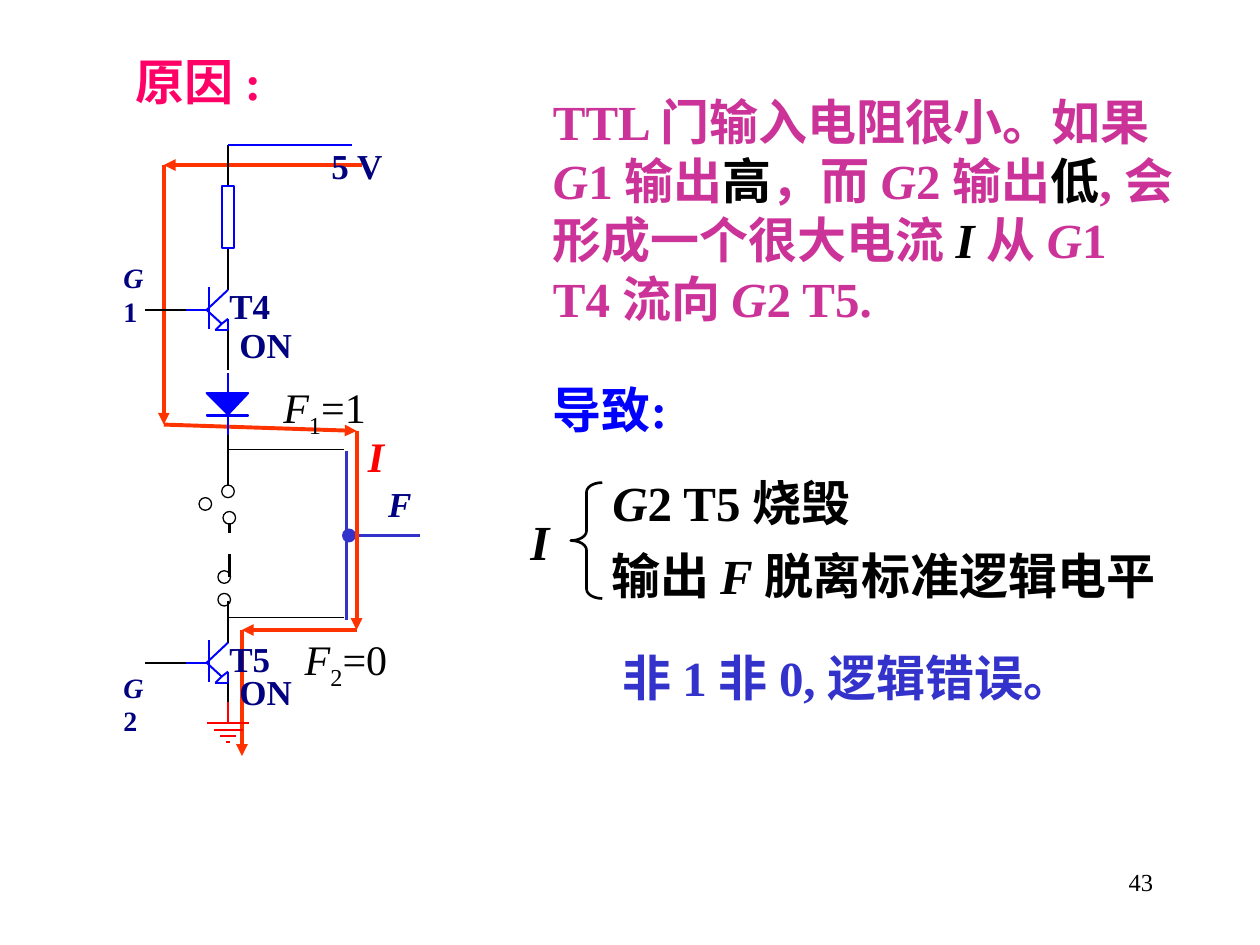
from dataclasses import dataclass
from itertools import pairwise

from lxml.etree import SubElement
from pptx import Presentation
from pptx.dml.color import RGBColor
from pptx.enum.shapes import MSO_CONNECTOR, MSO_SHAPE
from pptx.enum.text import PP_ALIGN
from pptx.oxml.ns import qn
from pptx.util import Inches, Pt


@dataclass(frozen=True)
class Theme:
    font: str = "Times New Roman"
    black: str = "000000"
    blue: str = "0000FF"
    navy: str = "000080"
    indigo: str = "3333CC"
    red: str = "FF0000"
    current: str = "FF3300"
    pink: str = "FF0066"
    magenta: str = "CC3399"
    body: int = 28
    signal: int = 24
    label: int = 20
    gate: int = 16
    footer: int = 14
    hairline: float = 0
    thin: float = 0.75
    wire: float = 1.13
    link: float = 1.5
    thick: float = 2.25


THEME = Theme()


@dataclass
class Region:
    """Draws on a slide, in inches from the region's top left corner."""
    slide: object
    left: float
    top: float

    def at(self, x, y):
        return Inches(self.left + x), Inches(self.top + y)

    def line(self, start, end, color=THEME.black, width=THEME.wire, arrow=False):
        connector = self.slide.shapes.add_connector(
            MSO_CONNECTOR.STRAIGHT, *self.at(*start), *self.at(*end))
        connector.line.color.rgb = RGBColor.from_string(color)
        connector.line.width = Pt(width)
        properties = connector._element.spPr
        if arrow:
            SubElement(properties.find(qn("a:ln")), qn("a:tailEnd"), type="triangle")
        SubElement(properties, qn("a:effectLst"))

    def route(self, points, **style):
        for start, end in pairwise(points):
            self.line(start, end, **style)

    def paint(self, shape, fill, outline, width):
        shape.shadow.inherit = False
        if fill:
            shape.fill.solid()
            shape.fill.fore_color.rgb = RGBColor.from_string(fill)
        else:
            shape.fill.background()
        shape.line.color.rgb = RGBColor.from_string(outline)
        shape.line.width = Pt(width)

    def preset(self, kind, x, y, width, height, fill=None,
               outline=THEME.black, weight=THEME.wire):
        shape = self.slide.shapes.add_shape(
            kind, *self.at(x, y), Inches(width), Inches(height))
        self.paint(shape, fill, outline, weight)
        return shape

    def text(self, x, y, width, height, parts, size, color=THEME.black,
             bold=True, padded=False, wrap=True, align=PP_ALIGN.LEFT):
        """Parts are (text, style) pairs; style holds i (italic), s (subscript), k (black)."""
        frame = self.slide.shapes.add_textbox(
            *self.at(x, y), Inches(width), Inches(height)).text_frame
        frame.word_wrap = wrap
        frame.margin_left = frame.margin_right = Inches(0.1 if padded else 0)
        frame.margin_top = frame.margin_bottom = Inches(0.05 if padded else 0)
        paragraph = frame.paragraphs[0]
        paragraph.alignment = align
        paragraph.font.name = THEME.font
        paragraph.font.size = Pt(size)
        paragraph.font.bold = bold
        paragraph.font.color.rgb = RGBColor.from_string(color)
        for words, style in parts:
            run = paragraph.add_run()
            run.text = words
            if "i" in style:
                run.font.italic = True
            if "k" in style:
                run.font.color.rgb = RGBColor.from_string(THEME.black)
            if "s" in style:
                run._r.get_or_add_rPr().set("baseline", "-25000")


RAIL = 1.0  # x of the circuit's vertical wire


def draw_transistor(circuit, name, base, on_top):
    # Leads
    circuit.line((RAIL - 0.33, base), (RAIL - 0.66, base))
    circuit.line((RAIL, base + 0.15), (RAIL, base + 0.48))
    circuit.line((RAIL, base - 0.16), (RAIL, base - 0.49))
    # Base bar, collector, and emitter with its arrowhead
    tip = (RAIL - 0.05, base + 0.11)
    circuit.route([(RAIL, base - 0.16), (RAIL - 0.17, base), tip,
                   (RAIL, base + 0.07), (RAIL, base + 0.16),
                   (RAIL - 0.1, base + 0.16), tip], color=THEME.blue)
    circuit.line((RAIL - 0.15, base - 0.18), (RAIL - 0.15, base + 0.15), THEME.blue)
    circuit.line((RAIL - 0.17, base), (RAIL - 0.33, base), THEME.blue)
    for words, x, y, width in ((name, 0.01, base - 0.2, 0.33), ("ON", 0.09, on_top, 0.42)):
        circuit.text(RAIL + x, y, width, 0.33, [(words, "")],
                     THEME.label, THEME.navy, wrap=False)


def draw_diode(circuit, top):
    circuit.line((RAIL, top), (RAIL, top + 0.49), THEME.blue)
    circuit.preset(MSO_SHAPE.RECTANGLE, RAIL - 0.17, top + 0.33, 0.33, 0.01,
                   THEME.blue, THEME.blue)
    corners = [circuit.at(RAIL + x, top + y)
               for x, y in ((0.16, 0.16), (0, 0.33), (-0.17, 0.16))]
    outline = circuit.slide.shapes.build_freeform(*corners[0])
    outline.add_line_segments(corners[1:], close=True)
    circuit.paint(outline.convert_to_shape(), THEME.blue, THEME.blue, THEME.wire)


def draw_output(circuit):
    # Shared output line F with its junction
    circuit.line((1.94, 2.43), (1.94, 3.77), THEME.indigo, THEME.thick)
    circuit.line((2.02, 3.1), (2.52, 3.1), THEME.indigo, THEME.thick)
    circuit.preset(MSO_SHAPE.OVAL, 1.91, 3.05, 0.1, 0.1,
                   THEME.indigo, THEME.indigo, THEME.hairline)
    for y in (2.42, 3.75):
        circuit.line((1.01, y), (1.92, y), width=THEME.thin)
    circuit.text(2.27, 2.68, 0.33, 0.33, [("F", "i")], THEME.label, THEME.navy)
    circuit.text(2.11, 2.27, 0.2, 0.4, [("I", "i")], THEME.signal, THEME.red)


def draw_circuit(slide, left, top):
    circuit = Region(slide, left, top)
    draw_output(circuit)
    # Path of the large current
    circuit.route([(2.06, 0.16), (0.49, 0.16), (0.49, 2.22), (2.02, 2.27),
                   (2.02, 3.85), (1.11, 3.85), (1.11, 4.85)],
                  color=THEME.current, width=THEME.thick, arrow=True)
    draw_transistor(circuit, "T5", 4.11, 4.17)
    draw_transistor(circuit, "T4", 1.31, 1.42)
    # Supply and resistor
    circuit.line((RAIL, 0.33), (RAIL, 0))
    circuit.preset(MSO_SHAPE.RECTANGLE, RAIL - 0.05, 0.33, 0.1, 0.49, outline=THEME.blue)
    circuit.line((RAIL, 0), (1.98, 0), THEME.blue)
    circuit.text(1.82, 0, 0.41, 0.33, [("5 V", "")], THEME.label, THEME.navy, wrap=False)
    # Diode and open switches
    draw_diode(circuit, 1.81)
    circuit.line((RAIL, 2.3), (RAIL, 2.7))
    for x, y in ((0.77, 2.8), (0.95, 2.7), (0.96, 2.91), (0.92, 3.38), (0.92, 3.56)):
        circuit.preset(MSO_SHAPE.OVAL, x, y, 0.1, 0.1, weight=THEME.hairline)
    for start, end in ((3, 3.08), (3.25, 3.43)):
        circuit.line((1.01, start), (1.01, end), width=THEME.link)
    # Ground: bars shrink by an equal step
    circuit.line((RAIL, 4.42), (RAIL, 4.59), THEME.red)
    for step in range(4):
        half, y = 0.165 - 0.05 * step, 4.59 + 0.05 * step
        circuit.line((RAIL - half, y), (RAIL + half, y), THEME.red)
    # Gate names and output states
    for number, gate_top, state, x, y in (("1", 0.92, "=1", 1.34, 1.83),
                                          ("2", 4.17, "=0", 1.51, 3.83)):
        circuit.text(0.17, gate_top, 0.27, 0.27, [("G", "i"), (number, "")],
                     THEME.gate, THEME.navy, wrap=False)
        circuit.text(x, y, 1.02, 0.56, [("F", "i"), (number, "s"), (state, "")],
                     THEME.signal, bold=False, padded=True)


def draw_explanation(slide, left, top):
    notes = Region(slide, left, top)
    notes.text(0.09, 0, 5.12, 1.97, [
        ("TTL 门输入电阻很小。如果 ", ""), ("G", "i"), ("1 输出", ""), ("高", "k"),
        ("，而 ", ""), ("G", "i"), ("2 输出", ""), ("低", "k"),
        (", 会形成一个很大电流 ", ""), ("I ", "ik"), ("从 ", ""), ("G", "i"),
        ("1 T4 流向 ", ""), ("G", "i"), ("2 T5.", "")],
        THEME.body, THEME.magenta, padded=True)
    notes.text(0.09, 2.28, 1.75, 0.57, [("导致:", "")], THEME.body, THEME.blue, padded=True)
    # Consequences of the current, gathered by a brace
    notes.text(0.01, 3.38, 0.24, 0.47, [("I", "i")], THEME.body)
    brace = notes.preset(MSO_SHAPE.LEFT_BRACE, 0.33, 3.15, 0.25, 0.92, weight=THEME.link)
    brace.adjustments[0] = 0.3
    notes.text(0.66, 3.07, 4.47, 0.47, [("G", "i"), ("2 T5 烧毁", "")], THEME.body)
    notes.text(0.65, 3.65, 4.55, 0.47,
               [("输出 ", ""), ("F ", "i"), ("脱离标准逻辑电平", "")], THEME.body)
    notes.text(0.64, 4.41, 4.42, 0.57, [("非 1 非 0, 逻辑错误。", "")],
               THEME.body, THEME.indigo, padded=True)


def draw_frame(slide, left, top):
    frame = Region(slide, left, top)
    frame.text(0.98, 0.36, 1.58, 0.57, [("原因 :", "")], THEME.body, THEME.pink, padded=True)
    frame.text(7.17, 6.83, 2.08, 0.5, [("43", "")], THEME.footer,
               bold=False, padded=True, align=PP_ALIGN.RIGHT)


def main():
    deck = Presentation()
    deck.slide_width, deck.slide_height = Inches(10), Inches(7.5)
    slide = deck.slides.add_slide(deck.slide_layouts[6])
    draw_frame(slide, 0, 0)
    draw_explanation(slide, 4.2, 0.68)
    draw_circuit(slide, 0.81, 1.15)
    deck.save("out.pptx")


if __name__ == "__main__":
    main()
